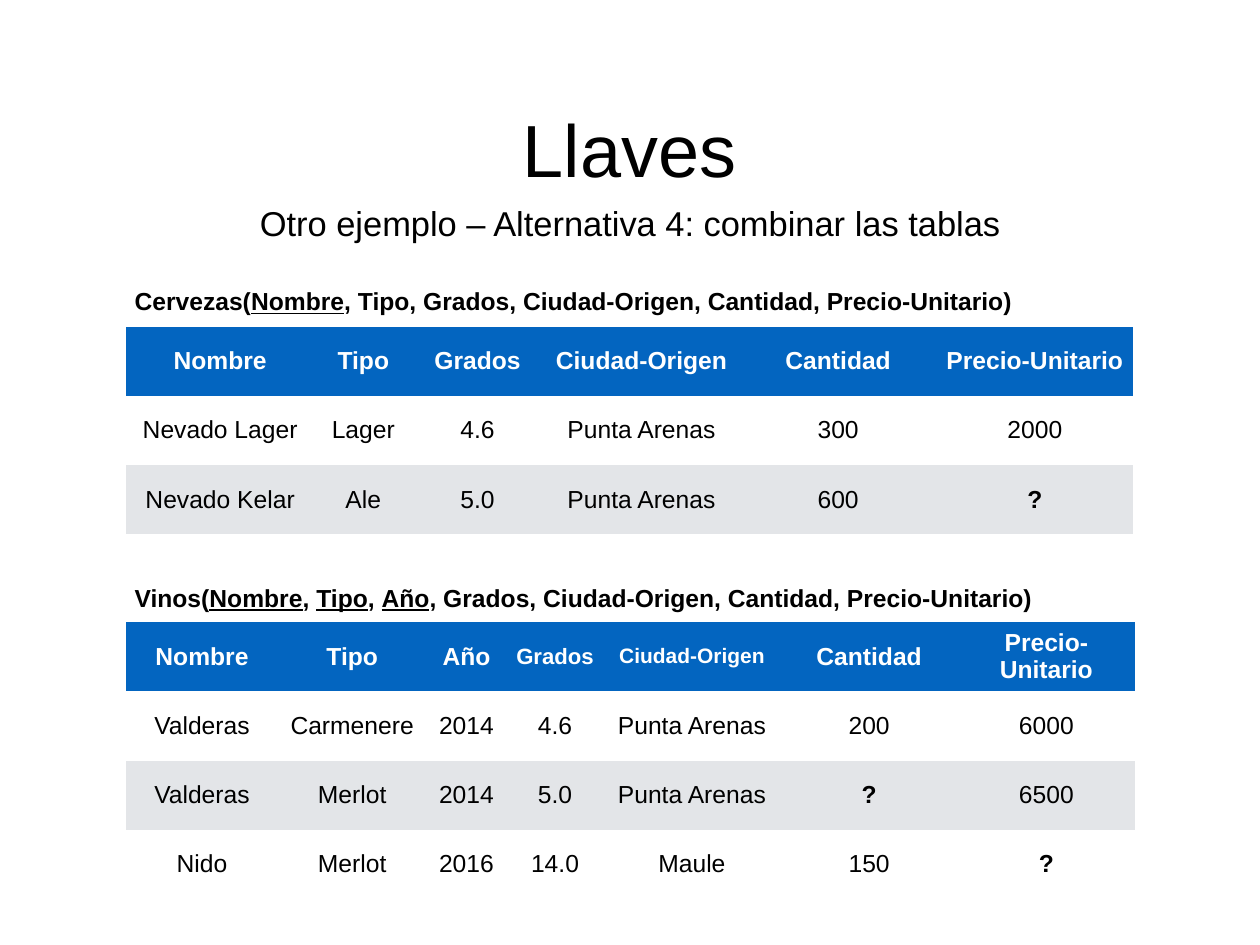
"""Build the slide on keys: two combined tables with their schemas."""
from pptx import Presentation
from pptx.dml.color import RGBColor
from pptx.enum.text import MSO_ANCHOR as Anchor, PP_ALIGN as Align
from pptx.util import Inches, Pt

COLORS = {"text": "000000", "header": "0365C0", "header_text": "FFFFFF",
          "odd": "FFFFFF", "even": "E3E5E8"}
NO_STYLE = "{2D5ABB26-0587-4C30-8999-92F81FD0307C}"
LEFT = 1.42
ROW_HEIGHT = 0.78


def add_span(para, text, size, color="text", bold=False, underline=False):
    span = para.add_run()
    span.text = text
    font = span.font
    font.name, font.size = "Arial", Pt(size)
    font.bold, font.underline = bold, underline
    font.color.rgb = RGBColor.from_string(COLORS[color])


def add_box(left, top, width, height, inset, anchor, align):
    frame = page.shapes.add_textbox(
        Inches(left), Inches(top), Inches(width), Inches(height)).text_frame
    frame.word_wrap = True
    frame.vertical_anchor = anchor
    frame.margin_left = frame.margin_right = Inches(inset)
    frame.margin_top = frame.margin_bottom = Inches(inset)
    para = frame.paragraphs[0]
    para.alignment = align
    return para


deck = Presentation()
deck.slide_width, deck.slide_height = Inches(14.22), Inches(10.67)
page = deck.slides.add_slide(deck.slide_layouts[6])

headings = [
    ("Llaves", 60, 5.84, 1.11, 2.53, 1.12),
    ("Otro ejemplo – Alternativa 4: combinar las tablas", 28, 2.37, 2.23, 9.48, 0.58),
]
for text, size, left, top, width, height in headings:
    para = add_box(left, top, width, height, 0.06, Anchor.MIDDLE, Align.CENTER)
    add_span(para, text, size)

relations = [
    {
        "name": "Cervezas", "keys": ["Nombre"],
        "schema_top": 3.13, "table_top": 3.69,
        "widths": [2.13, 1.1, 1.48, 2.22, 2.22, 2.22],
        "header_sizes": {},
        "rows": [
            ["Nombre", "Tipo", "Grados", "Ciudad-Origen", "Cantidad", "Precio-Unitario"],
            ["Nevado Lager", "Lager", "4.6", "Punta Arenas", "300", "2000"],
            ["Nevado Kelar", "Ale", "5.0", "Punta Arenas", "600", "?"],
        ],
    },
    {
        "name": "Vinos", "keys": ["Nombre", "Tipo", "Año"],
        "schema_top": 6.48, "table_top": 7.02,
        "widths": [1.72, 1.67, 0.91, 1.09, 2, 2, 2],
        "header_sizes": {"Grados": 18, "Ciudad-Origen": 17},
        "rows": [
            ["Nombre", "Tipo", "Año", "Grados", "Ciudad-Origen", "Cantidad",
             "Precio-Unitario"],
            ["Valderas", "Carmenere", "2014", "4.6", "Punta Arenas", "200", "6000"],
            ["Valderas", "Merlot", "2014", "5.0", "Punta Arenas", "?", "6500"],
            ["Nido", "Merlot", "2016", "14.0", "Maule", "150", "?"],
        ],
    },
]

for relation in relations:
    rows, widths, keys = relation["rows"], relation["widths"], relation["keys"]
    table = page.shapes.add_table(
        len(rows), len(widths), Inches(LEFT), Inches(relation["table_top"]),
        Inches(sum(widths)), Inches(ROW_HEIGHT * len(rows))).table
    table._tbl.tblPr.find("{*}tableStyleId").text = NO_STYLE
    table.horz_banding = False
    for column, width in zip(table.columns, widths):
        column.width = Inches(width)

    for row_index, values in enumerate(rows):
        table.rows[row_index].height = Inches(ROW_HEIGHT)
        is_header = row_index == 0
        fill = "header" if is_header else "odd" if row_index % 2 else "even"
        for column_index, value in enumerate(values):
            cell = table.cell(row_index, column_index)
            cell.fill.solid()
            cell.fill.fore_color.rgb = RGBColor.from_string(COLORS[fill])
            cell.vertical_anchor = Anchor.MIDDLE
            cell.margin_left = cell.margin_right = Inches(0.06)
            cell.margin_top = cell.margin_bottom = Inches(0.06)
            para = cell.text_frame.paragraphs[0]
            para.alignment = Align.CENTER
            size = relation["header_sizes"].get(value, 20)
            add_span(para, value, size, "header_text" if is_header else "text",
                     bold=is_header or value == "?")

    schema = add_box(LEFT, relation["schema_top"], 11.38, 0.88, 0.1,
                     Anchor.TOP, Align.LEFT)
    add_span(schema, relation["name"] + "(", 20, bold=True)
    for index, key in enumerate(keys):
        if index:
            add_span(schema, ", ", 20, bold=True)
        add_span(schema, key, 20, bold=True, underline=True)
    others = ", ".join(rows[0][len(keys):])
    add_span(schema, f", {others})", 20, bold=True)

deck.save("out.pptx")
